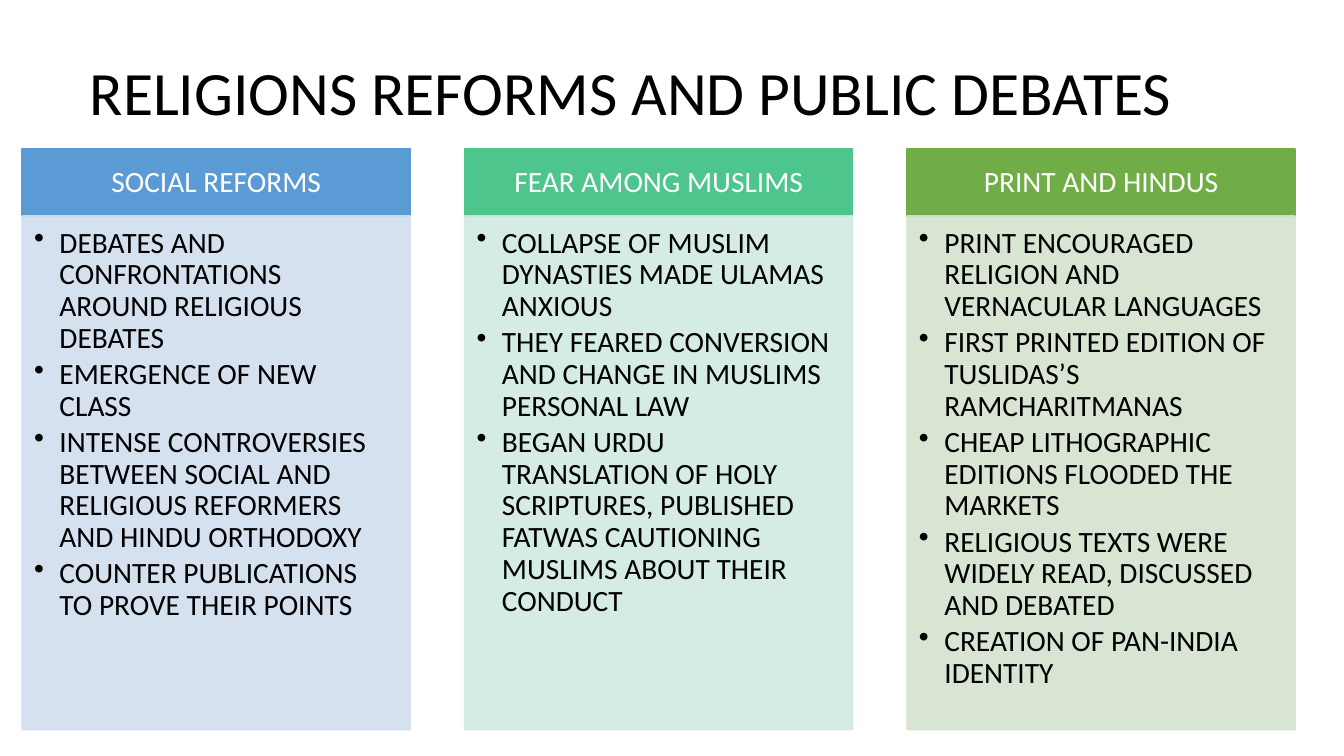
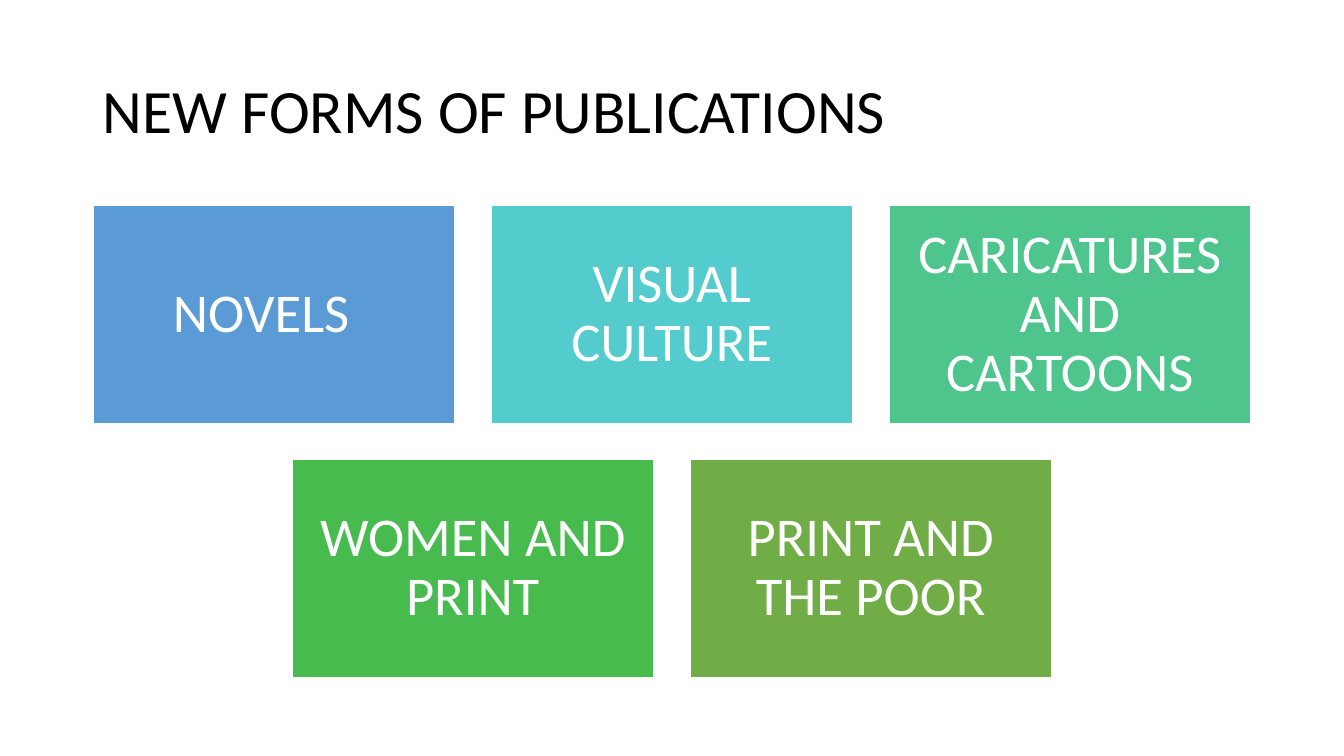
from dataclasses import dataclass
from typing import Any

from lxml import etree
from pptx import Presentation
from pptx.dml.color import RGBColor
from pptx.enum.shapes import MSO_SHAPE
from pptx.enum.text import MSO_ANCHOR, PP_ALIGN
from pptx.oxml.ns import qn
from pptx.shapes.autoshape import Shape
from pptx.slide import Slide
from pptx.util import Cm, Pt

RECTANGLE = MSO_SHAPE.RECTANGLE
TOP, MIDDLE = MSO_ANCHOR.TOP, MSO_ANCHOR.MIDDLE
LEFT, CENTER = PP_ALIGN.LEFT, PP_ALIGN.CENTER

BLACK = RGBColor(0x00, 0x00, 0x00)
WHITE = RGBColor(0xFF, 0xFF, 0xFF)
BLUE = RGBColor(0x5B, 0x9B, 0xD5)
TURQUOISE = RGBColor(0x54, 0xCC, 0xCD)
MINT = RGBColor(0x4D, 0xC5, 0x8D)
GREEN = RGBColor(0x48, 0xBB, 0x4F)
OLIVE = RGBColor(0x70, 0xAD, 0x47)
PALE_BLUE = RGBColor(0xD2, 0xDE, 0xEF)
PALE_MINT = RGBColor(0xD0, 0xEA, 0xE1)
PALE_OLIVE = RGBColor(0xD5, 0xE3, 0xCF)

FONT = "Calibri"
LINE_SPACING = 0.9
PALE_OPACITY = 90
BULLET_INDENT = Cm(0.64)


@dataclass(frozen=True)
class Box:
    """Position and size in centimetres."""

    left: float
    top: float
    width: float
    height: float

    def lengths(self) -> tuple[Cm, Cm, Cm, Cm]:
        """Return the four values as slide lengths."""
        return Cm(self.left), Cm(self.top), Cm(self.width), Cm(self.height)


@dataclass(frozen=True)
class TextStyle:
    """How the text of one kind of element looks."""

    size: float
    color: RGBColor
    frame: dict[str, Any]
    align: Any = LEFT
    space_after: float = 0
    bulleted: bool = False


@dataclass(frozen=True)
class Topic:
    """A headed column of bullet points."""

    heading: str
    color: RGBColor
    pale: RGBColor
    points: tuple[str, ...]


@dataclass(frozen=True)
class Tile:
    """A coloured block with a label."""

    label: str
    color: RGBColor


def frame_format(anchor: Any, left: float, top: float, right: float, bottom: float) -> dict[str, Any]:
    """Collect text frame values, with margins in centimetres."""
    return {
        "word_wrap": True,
        "vertical_anchor": anchor,
        "margin_left": Cm(left),
        "margin_top": Cm(top),
        "margin_right": Cm(right),
        "margin_bottom": Cm(bottom),
    }


TITLE = TextStyle(44, BLACK, frame_format(MIDDLE, 0.25, 0.13, 0.25, 0.13))
HEADING = TextStyle(21, WHITE, frame_format(MIDDLE, 0.41, 0.23, 0.41, 0.23), CENTER)
POINTS = TextStyle(21, BLACK, frame_format(TOP, 0.3, 0.3, 0.41, 0.46),
                   space_after=3.15, bulleted=True)
LABEL = TextStyle(39, WHITE, frame_format(MIDDLE, 0.41, 0.41, 0.41, 0.41), CENTER)

TITLE_WIDTH, TITLE_HEIGHT = 29.21, 3.68

COLUMN_LEFT, COLUMN_TOP = 0.56, 3.76
COLUMN_WIDTH, COLUMN_PITCH = 9.78, 11.15
HEADING_HEIGHT, POINTS_HEIGHT = 1.68, 12.95

TILES_LEFT, TILES_TOP = 2.34, 5.18
TILE_WIDTH, TILE_HEIGHT, TILE_GAP = 9.12, 5.49, 0.91
TILES_PER_ROW = 3

TOPICS = (
    Topic("SOCIAL REFORMS", BLUE, PALE_BLUE, (
        "DEBATES AND CONFRONTATIONS AROUND RELIGIOUS DEBATES",
        "EMERGENCE OF NEW CLASS",
        "INTENSE CONTROVERSIES BETWEEN SOCIAL AND RELIGIOUS REFORMERS AND HINDU ORTHODOXY",
        "COUNTER PUBLICATIONS TO PROVE THEIR POINTS",
    )),
    Topic("FEAR AMONG MUSLIMS", MINT, PALE_MINT, (
        "COLLAPSE OF MUSLIM DYNASTIES MADE ULAMAS ANXIOUS",
        "THEY FEARED CONVERSION AND CHANGE IN MUSLIMS PERSONAL LAW",
        "BEGAN URDU TRANSLATION OF HOLY SCRIPTURES, PUBLISHED FATWAS CAUTIONING "
        "MUSLIMS ABOUT THEIR CONDUCT",
    )),
    Topic("PRINT AND HINDUS", OLIVE, PALE_OLIVE, (
        "PRINT ENCOURAGED RELIGION AND VERNACULAR LANGUAGES",
        "FIRST PRINTED EDITION OF TUSLIDAS’S RAMCHARITMANAS",
        "CHEAP LITHOGRAPHIC EDITIONS FLOODED THE MARKETS",
        "RELIGIOUS TEXTS WERE WIDELY READ, DISCUSSED AND DEBATED",
        "CREATION OF PAN-INDIA IDENTITY",
    )),
)

TILES = (
    Tile("NOVELS\t", BLUE),
    Tile("VISUAL CULTURE", TURQUOISE),
    Tile("CARICATURES AND CARTOONS", MINT),
    Tile("WOMEN AND PRINT", GREEN),
    Tile("PRINT AND THE POOR", OLIVE),
)


def apply_format(target: Any, values: dict[str, Any]) -> None:
    """Set each named attribute of the target."""
    for name, value in values.items():
        setattr(target, name, value)


def add_bullet(paragraph: Any) -> None:
    """Give the paragraph a hanging bullet."""
    properties = paragraph._p.get_or_add_pPr()
    properties.set("marL", str(BULLET_INDENT))
    properties.set("indent", str(-BULLET_INDENT))
    etree.SubElement(properties, qn("a:buChar"), char="•")


def write_text(shape: Shape, lines: tuple[str, ...], style: TextStyle) -> None:
    """Write one paragraph per line in the given style."""
    frame = shape.text_frame
    apply_format(frame, style.frame)
    for index, line in enumerate(lines):
        paragraph = frame.add_paragraph() if index else frame.paragraphs[0]
        apply_format(paragraph, {
            "alignment": style.align,
            "line_spacing": LINE_SPACING,
            "space_after": Pt(style.space_after),
        })
        if style.bulleted:
            add_bullet(paragraph)
        run = paragraph.add_run()
        run.text = line
        apply_format(run.font, {"name": FONT, "size": Pt(style.size)})
        run.font.color.rgb = style.color


def add_title(slide: Slide, title: str, left: float, top: float) -> None:
    """Add the slide title."""
    box = Box(left, top, TITLE_WIDTH, TITLE_HEIGHT)
    write_text(slide.shapes.add_textbox(*box.lengths()), (title,), TITLE)


def add_block(slide: Slide, box: Box, fill: RGBColor, outline: RGBColor,
              lines: tuple[str, ...], style: TextStyle, opacity: int = 100) -> None:
    """Add a filled rectangle that holds text."""
    block = slide.shapes.add_shape(RECTANGLE, *box.lengths())
    block.shadow.inherit = False
    block.line.width = Pt(1)
    block.fill.solid()
    block.fill.fore_color.rgb = fill
    block.line.color.rgb = outline
    if opacity < 100:
        for color in block._element.spPr.iter(qn("a:srgbClr")):
            etree.SubElement(color, qn("a:alpha"), val=str(opacity * 1000))
    write_text(block, lines, style)


def add_topics(slide: Slide, topics: tuple[Topic, ...]) -> None:
    """Set the topics side by side, heading over points."""
    for index, topic in enumerate(topics):
        left = COLUMN_LEFT + index * COLUMN_PITCH
        heading = Box(left, COLUMN_TOP, COLUMN_WIDTH, HEADING_HEIGHT)
        points = Box(left, COLUMN_TOP + HEADING_HEIGHT, COLUMN_WIDTH, POINTS_HEIGHT)
        add_block(slide, heading, topic.color, topic.color, (topic.heading,), HEADING)
        add_block(slide, points, topic.pale, topic.pale, topic.points, POINTS, PALE_OPACITY)


def add_tiles(slide: Slide, tiles: tuple[Tile, ...]) -> None:
    """Lay the tiles out in rows, centring a shorter last row."""
    pitch = TILE_WIDTH + TILE_GAP
    for start in range(0, len(tiles), TILES_PER_ROW):
        row = tiles[start:start + TILES_PER_ROW]
        left = TILES_LEFT + (TILES_PER_ROW - len(row)) * pitch / 2
        top = TILES_TOP + start // TILES_PER_ROW * (TILE_HEIGHT + TILE_GAP)
        for column, tile in enumerate(row):
            box = Box(left + column * pitch, top, TILE_WIDTH, TILE_HEIGHT)
            add_block(slide, box, tile.color, WHITE, (tile.label,), LABEL)


def main() -> None:
    """Build and save the presentation."""
    deck = Presentation()
    apply_format(deck, {"slide_width": Cm(33.87), "slide_height": Cm(19.05)})
    blank = deck.slide_layouts[6]

    debates = deck.slides.add_slide(blank)
    add_title(debates, "RELIGIONS REFORMS AND PUBLIC DEBATES", 2.01, 0.56)
    add_topics(debates, TOPICS)

    publications = deck.slides.add_slide(blank)
    add_title(publications, "NEW FORMS OF PUBLICATIONS", 2.34, 1.02)
    add_tiles(publications, TILES)

    deck.save("out.pptx")


main()
